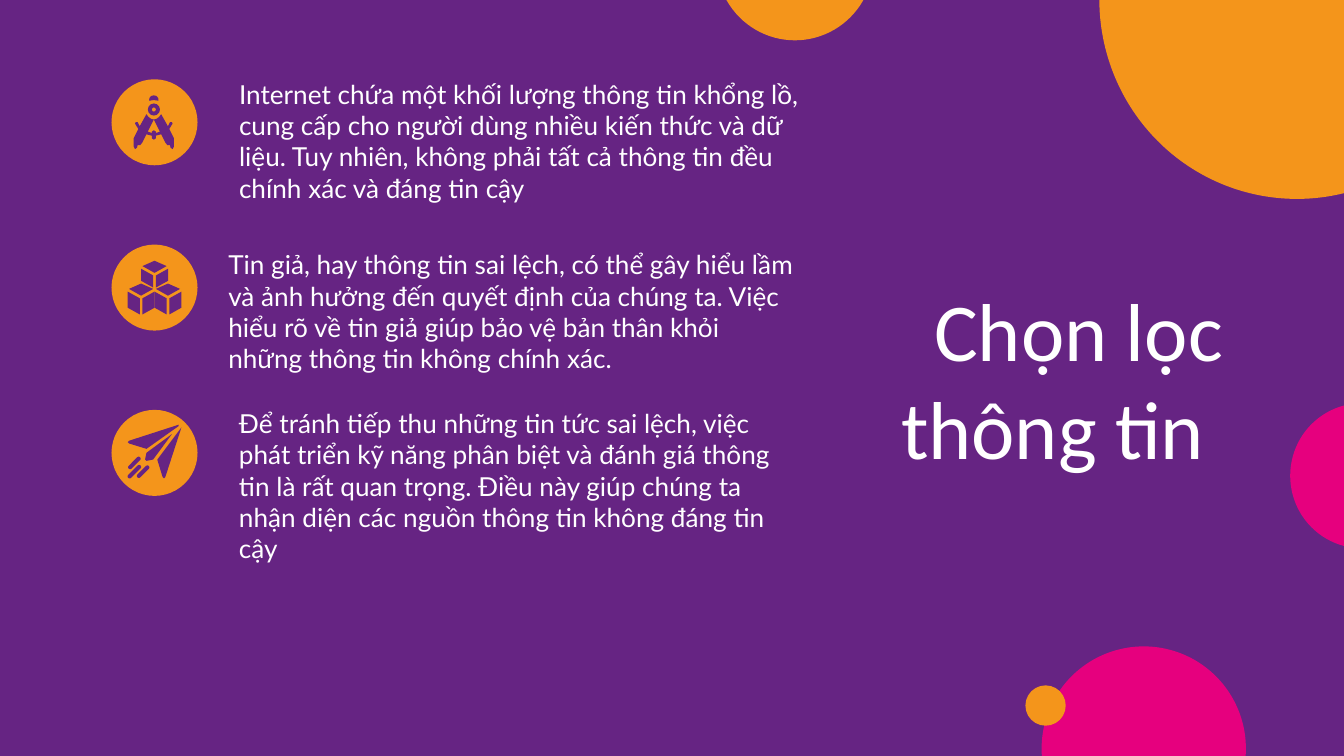
from pptx import Presentation
from pptx import util as u
from pptx.dml.color import RGBColor
from pptx.enum import shapes, text

Inches = u.Inches
COLORS = {"purple": "662483", "orange": "F4951B", "pink": "E6007E", "white": "FFFFFF"}

BACKDROP = [
    (5.33, -0.88, 1.17, 1.18, "orange"),
    (9.6, 3, 1.07, 1.08, "pink"),
    (8.18, -1.49, 2.94, 2.97, "orange"),
    (7.75, 4.81, 1.52, 1.52, "pink"),
    (7.63, 5.1, 0.3, 0.3, "orange"),
]
POINTS = [
    (1.68, 0.48, 4.55, 0.75,
     "Internet chứa một khối lượng thông tin khổng lồ, cung cấp cho người dùng nhiều "
     "kiến thức và dữ liệu. Tuy nhiên, không phải tất cả thông tin đều chính xác và "
     "đáng tin cậy"),
    (1.6, 1.75, 4.42, 1.05,
     "Tin giả, hay thông tin sai lệch, có thể gây hiểu lầm và ảnh hưởng đến quyết định "
     "của chúng ta. Việc hiểu rõ về tin giả giúp bảo vệ bản thân khỏi những thông tin "
     "không chính xác."),
    (1.68, 2.93, 4.16, 0.94,
     "Để tránh tiếp thu những tin tức sai lệch, việc phát triển kỹ năng phân biệt và "
     "đánh giá thông tin là rất quan trọng. Điều này giúp chúng ta nhận diện các nguồn "
     "thông tin không đáng tin cậy"),
]
BADGE_LEFT, BADGE_TOP, BADGE_SIZE, BADGE_STEP = 0.83, 0.59, 0.64, 1.23

COMPASS_AXIS = 1.145
COMPASS_HALF = [
    (0.055, 0.85), (0.105, 0.94), (0.12, 0.91), (0.135, 0.91), (0.14, 0.92),
    (0.115, 0.96), (0.15, 1.03), (0.15, 1.09), (0.14, 1.11), (0.125, 1.1),
    (0.12, 1.08), (0.1, 1.08), (0.085, 1.06), (0.055, 1), (0.015, 1.01),
    (0.015, 1.03), (0, 1.04),
]
COMPASS_NOTCH = [(0, 0.89), (0.02, 0.885), (0.04, 0.87)]
COMPASS_HOLE = [(0, 0.89), (0.045, 0.98), (0.015, 0.99), (0.015, 0.98), (0, 0.97)]
COMPASS_CAP = [(0, 0.71), (0.02, 0.715), (0.033, 0.73), (0.035, 0.75), (0, 0.745)]
PLANE = [
    [(1.33, 3.16), (0.96, 3.28), (0.95, 3.29), (0.96, 3.3), (1.09, 3.34), (1.33, 3.17)],
    [(1.28, 3.23), (1.09, 3.37), (1.08, 3.42), (1.09, 3.43), (1.14, 3.42)],
    [(1.35, 3.18), (1.17, 3.42), (1.21, 3.55), (1.22, 3.56), (1.23, 3.55)],
]
TRAILS = [(1, 3.445, 0.12), (1.065, 3.51, 0.12), (1, 3.51, 0.13)]


def color(name):
    return RGBColor.from_string(COLORS[name])


def paint(shape, fill):
    shape.shadow.inherit = False
    shape.fill.solid()
    shape.fill.fore_color.rgb = color(fill)
    shape.line.fill.background()
    return shape


def add_preset(page, kind, left, top, width, height, fill):
    shape = page.shapes.add_shape(
        kind, Inches(left), Inches(top), Inches(width), Inches(height))
    return paint(shape, fill)


def add_oval(page, left, top, width, height, fill):
    add_preset(page, shapes.MSO_SHAPE.OVAL, left, top, width, height, fill)


def add_outline(page, *contours):
    scaled = [[(Inches(x), Inches(y)) for x, y in contour] for contour in contours]
    builder = page.shapes.build_freeform(*scaled[0][0])
    builder.add_line_segments(scaled[0][1:], close=True)
    for contour in scaled[1:]:
        builder.move_to(*contour[0])
        builder.add_line_segments(contour[1:], close=True)
    paint(builder.convert_to_shape(), "purple")


def mirrored(half, axis):
    right = [(axis + x, y) for x, y in half]
    left = [(axis - x, y) for x, y in reversed(half)]
    return right + left


def add_compass(page):
    ring = add_preset(page, shapes.MSO_SHAPE.DONUT, 1.1, 0.77, 0.09, 0.09, "purple")
    ring.adjustments[0] = 0.33
    legs = mirrored(COMPASS_NOTCH + COMPASS_HALF, COMPASS_AXIS)
    hole = mirrored(COMPASS_HOLE, COMPASS_AXIS)
    add_outline(page, legs, hole[::-1])
    add_outline(page, mirrored(COMPASS_CAP, COMPASS_AXIS))


def add_cube(page, center, top, depth):
    add_outline(page, [(center, top), (center + 0.09, top + 0.04),
                       (center, top + 0.09), (center - 0.09, top + 0.04)])
    for side in (-1, 1):
        inner, outer = center + side * 0.01, center + side * 0.1
        add_outline(page, [(outer, top + 0.06), (inner, top + 0.11),
                           (inner, top + 0.11 + depth), (outer, top + 0.06 + depth)])


def add_cubes(page):
    for center, top, depth in [(1.15, 1.94, 0.09), (1.05, 2.11, 0.12), (1.25, 2.11, 0.12)]:
        add_cube(page, center, top, depth)


def add_plane(page):
    for contour in PLANE:
        add_outline(page, contour)
    for x, y, length in TRAILS:
        trail = add_preset(page, shapes.MSO_SHAPE.ROUNDED_RECTANGLE,
                           x - length / 2, y - 0.015, length, 0.03, "purple")
        trail.adjustments[0] = 0.5
        trail.rotation = -45


def add_text(page, left, top, width, height, words, font, size):
    box = page.shapes.add_textbox(Inches(left), Inches(top), Inches(width), Inches(height))
    frame = box.text_frame
    frame.word_wrap = True
    frame.margin_left = frame.margin_right = Inches(0.1)
    frame.margin_top = frame.margin_bottom = Inches(0.1)
    para = frame.paragraphs[0]
    para.text = words
    para.font.name = font
    para.font.size = u.Pt(size)
    para.font.color.rgb = color("white")
    return frame


def main():
    deck = Presentation()
    deck.slide_width = Inches(10)
    deck.slide_height = Inches(10 * 9 / 16)
    page = deck.slides.add_slide(deck.slide_layouts[6])
    page.background.fill.solid()
    page.background.fill.fore_color.rgb = color("purple")

    for oval in BACKDROP:
        add_oval(page, *oval)
    for point in POINTS:
        frame = add_text(page, *point, "Lato", 14)
        frame.paragraphs[0].space_after = u.Pt(16)

    title = add_text(page, 5.84, 1.86, 3.36, 1.9, "Chọn lọc thông tin ", "Calibri", 44)
    title.vertical_anchor = text.MSO_ANCHOR.MIDDLE
    title.paragraphs[0].alignment = text.PP_ALIGN.RIGHT

    for row, add_icon in enumerate([add_compass, add_cubes, add_plane]):
        top = BADGE_TOP + row * BADGE_STEP
        add_oval(page, BADGE_LEFT, top, BADGE_SIZE, BADGE_SIZE, "orange")
        add_icon(page)

    deck.save("out.pptx")


if __name__ == "__main__":
    main()
